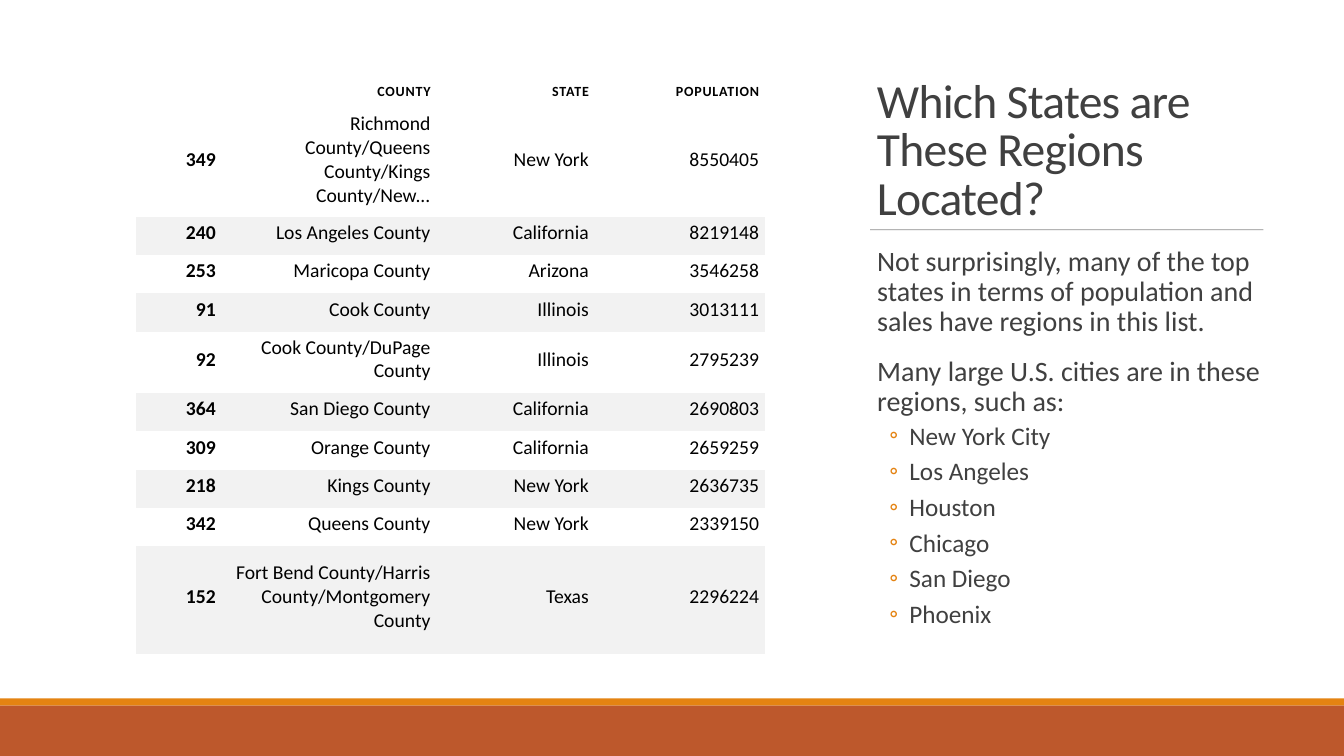
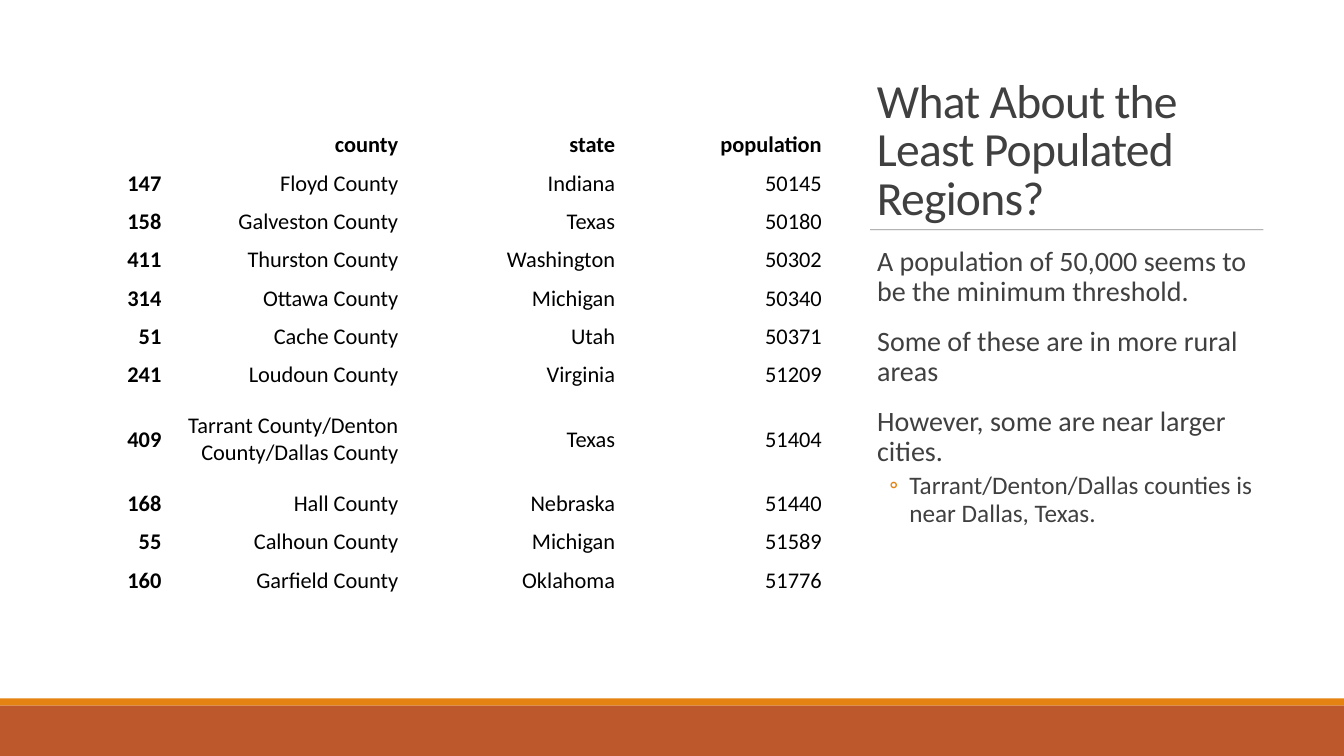
"""Build two slides on the most and least populated regions."""

from dataclasses import dataclass
from typing import NamedTuple

import pptx
import pptx.dml.color
import pptx.enum.shapes
import pptx.enum.text
import pptx.oxml.ns
import pptx.oxml.xmlchemy
import pptx.presentation
import pptx.shapes.autoshape
import pptx.slide
import pptx.table
import pptx.text.text
import pptx.util
from lxml import etree

PX = 9144
SLIDE_WIDTH, SLIDE_HEIGHT = 1333, 750
FONT = "Calibri"
WHITE, BLACK, TEXT, RULE = "FFFFFF", "000000", "404040", "808080"
ORANGE, RUST, STRIPE = "E48312", "BD582C", "F2F2F2"
PLAIN_TABLE_STYLE = "{2D5ABB26-0587-4C30-8999-92F81FD0307C}"
ROW_HEIGHT = 38


class Box(NamedTuple):
    left: int
    top: int
    width: int
    height: int


class Insets(NamedTuple):
    left: int
    top: int
    right: int
    bottom: int


class Band(NamedTuple):
    top: int
    height: int
    color: str


class Point(NamedTuple):
    text: str
    level: int = 0


class PointStyle(NamedTuple):
    size: int
    indent: int
    hanging: int
    before: int
    after: int
    bullet: str


@dataclass(frozen=True)
class RegionTable:
    left: int
    top: int
    columns: tuple[int, ...]
    tall_rows: dict[int, int]
    rows: tuple[tuple[str, ...], ...]
    size: int
    header_size: int
    header_spacing: int
    header_anchor: pptx.enum.text.MSO_ANCHOR
    header_insets: Insets
    insets: Insets
    stripe: str


@dataclass(frozen=True)
class RegionSlide:
    title: str
    points: tuple[Point, ...]
    table: RegionTable


BANDS = (Band(0, 693, WHITE), Band(693, 7, ORANGE), Band(700, 50, RUST))
TITLE_BOX = Box(860, 69, 404, 159)
BODY_BOX = Box(860, 240, 404, 401)
POINT_STYLES = (
    PointStyle(20, 10, 10, 12, 2, " "),
    PointStyle(18, 42, 20, 2, 4, "◦"),
)

SLIDES = (
    RegionSlide(
        "Which States are These Regions Located?",
        (
            Point("Not surprisingly, many of the top states in terms of population and sales have regions in this list."),
            Point("Many large U.S. cities are in these regions, such as:"),
            Point("New York City", 1),
            Point("Los Angeles", 1),
            Point("Houston", 1),
            Point("Chicago", 1),
            Point("San Diego", 1),
            Point("Phoenix", 1),
        ),
        RegionTable(
            left=135, top=70, columns=(85, 213, 157, 169),
            tall_rows={1: 107, 5: 61, 10: 107},
            rows=(
                ("", "COUNTY", "STATE", "POPULATION"),
                ("349", "Richmond County/Queens County/Kings County/New...", "New York", "8550405"),
                ("240", "Los Angeles County", "California", "8219148"),
                ("253", "Maricopa County", "Arizona", "3546258"),
                ("91", "Cook County", "Illinois", "3013111"),
                ("92", "Cook County/DuPage County", "Illinois", "2795239"),
                ("364", "San Diego County", "California", "2690803"),
                ("309", "Orange County", "California", "2659259"),
                ("218", "Kings County", "New York", "2636735"),
                ("342", "Queens County", "New York", "2339150"),
                ("152", "Fort Bend County/Harris County/Montgomery County", "Texas", "2296224"),
            ),
            size=14, header_size=10, header_spacing=60,
            header_anchor=pptx.enum.text.MSO_ANCHOR.BOTTOM,
            header_insets=Insets(6, 9, 6, 9), insets=Insets(6, 3, 6, 9),
            stripe=STRIPE,
        ),
    ),
    RegionSlide(
        "What About the Least Populated Regions?",
        (
            Point("A population of 50,000 seems to be the minimum threshold."),
            Point("Some of these are in more rural areas"),
            Point("However, some are near larger cities."),
            Point("Tarrant/Denton/Dallas counties is near Dallas, Texas.", 1),
        ),
        RegionTable(
            left=69, top=125, columns=(100, 235, 215, 205),
            tall_rows={7: 90},
            rows=(
                ("", "county", "state", "population"),
                ("147", "Floyd County", "Indiana", "50145"),
                ("158", "Galveston County", "Texas", "50180"),
                ("411", "Thurston County", "Washington", "50302"),
                ("314", "Ottawa County", "Michigan", "50340"),
                ("51", "Cache County", "Utah", "50371"),
                ("241", "Loudoun County", "Virginia", "51209"),
                ("409", "Tarrant County/Denton County/Dallas County", "Texas", "51404"),
                ("168", "Hall County", "Nebraska", "51440"),
                ("55", "Calhoun County", "Michigan", "51589"),
                ("160", "Garfield County", "Oklahoma", "51776"),
            ),
            size=16, header_size=16, header_spacing=0,
            header_anchor=pptx.enum.text.MSO_ANCHOR.MIDDLE,
            header_insets=Insets(9, 4, 9, 4), insets=Insets(9, 4, 9, 4),
            stripe=WHITE,
        ),
    ),
)


def px(length: int) -> pptx.util.Emu:
    return pptx.util.Emu(length * PX)


def rgb(color: str) -> pptx.dml.color.RGBColor:
    return pptx.dml.color.RGBColor.from_string(color)


def add_child(parent: etree.ElementBase, tag: str, **attributes: str) -> etree.ElementBase:
    return etree.SubElement(parent, pptx.oxml.ns.qn(tag), attributes)


def format_runs(paragraph: pptx.text.text._Paragraph, size: int, color: str,
                bold: bool = False, spacing: int = 0) -> None:
    for run in paragraph.runs:
        run.font.name = FONT
        run.font.size = pptx.util.Pt(size)
        run.font.bold = bold
        run.font.color.rgb = rgb(color)
        run._r.get_or_add_rPr().set("spc", str(spacing))


def add_text_box(slide: pptx.slide.Slide, box: Box) -> pptx.text.text.TextFrame:
    text_frame = slide.shapes.add_textbox(*map(px, box)).text_frame
    text_frame.word_wrap = True
    return text_frame


def add_band(slide: pptx.slide.Slide, band: Band) -> None:
    shape = slide.shapes.add_shape(
        pptx.enum.shapes.MSO_SHAPE.RECTANGLE,
        px(0), px(band.top), px(SLIDE_WIDTH), px(band.height))
    shape.shadow.inherit = False
    shape.fill.solid()
    shape.fill.fore_color.rgb = rgb(band.color)
    shape.line.fill.background()


def add_title(slide: pptx.slide.Slide, title: str) -> None:
    text_frame = add_text_box(slide, TITLE_BOX)
    text_frame.vertical_anchor = pptx.enum.text.MSO_ANCHOR.BOTTOM
    text_frame.text = title
    paragraph = text_frame.paragraphs[0]
    paragraph.line_spacing = 0.85
    format_runs(paragraph, 34, TEXT, spacing=-50)


def add_title_rule(slide: pptx.slide.Slide) -> None:
    connector = slide.shapes.add_connector(
        pptx.enum.shapes.MSO_CONNECTOR.STRAIGHT, px(863), px(228), px(1253), px(228))
    connector.line.color.rgb = rgb(RULE)
    connector.line.width = pptx.util.Pt(0.5)
    properties = connector._element.spPr
    color = next(properties.iter(pptx.oxml.ns.qn("a:srgbClr")))
    add_child(color, "a:alpha", val="90000")
    add_child(properties, "a:effectLst")


def add_points(slide: pptx.slide.Slide, points: tuple[Point, ...]) -> None:
    text_frame = add_text_box(slide, BODY_BOX)
    text_frame.margin_left = text_frame.margin_right = 0
    text_frame.text = "\n".join(point.text for point in points)
    for point, paragraph in zip(points, text_frame.paragraphs):
        style = POINT_STYLES[point.level]
        paragraph.level = point.level
        paragraph.line_spacing = 0.9
        paragraph.space_before = pptx.util.Pt(style.before)
        paragraph.space_after = pptx.util.Pt(style.after)
        format_runs(paragraph, style.size, TEXT)
        properties = paragraph._p.get_or_add_pPr()
        properties.set("marL", str(px(style.indent)))
        properties.set("indent", str(px(-style.hanging)))
        add_child(add_child(properties, "a:buClr"), "a:srgbClr", val=ORANGE)
        add_child(properties, "a:buFont", typeface=FONT)
        add_child(properties, "a:buChar", char=style.bullet)


def fill_cell(cell: pptx.table._Cell, text: str, row: int, column: int,
              region_table: RegionTable) -> None:
    header = row == 0
    insets = region_table.header_insets if header else region_table.insets
    size = region_table.header_size if header else region_table.size
    cell.margin_left, cell.margin_top, cell.margin_right, cell.margin_bottom = map(px, insets)
    cell.vertical_anchor = (
        region_table.header_anchor if header else pptx.enum.text.MSO_ANCHOR.MIDDLE)
    cell.fill.solid()
    striped = row > 0 and row % 2 == 0
    cell.fill.fore_color.rgb = rgb(region_table.stripe if striped else WHITE)
    cell.text_frame.text = text
    paragraph = cell.text_frame.paragraphs[0]
    paragraph.alignment = pptx.enum.text.PP_ALIGN.RIGHT
    format_runs(paragraph, size, BLACK, header or column == 0,
                region_table.header_spacing if header else 0)
    if not text:
        add_child(paragraph._p, "a:endParaRPr", sz=str(size * 100))


def add_region_table(slide: pptx.slide.Slide, region_table: RegionTable) -> None:
    rows, columns = region_table.rows, region_table.columns
    heights = [region_table.tall_rows.get(row, ROW_HEIGHT) for row in range(len(rows))]
    frame = slide.shapes.add_table(
        len(rows), len(columns), px(region_table.left), px(region_table.top),
        px(sum(columns)), px(sum(heights)))
    table = frame.table
    table.horz_banding = False
    style = next(frame._element.iter(pptx.oxml.ns.qn("a:tableStyleId")))
    style.text = PLAIN_TABLE_STYLE
    for column, width in enumerate(columns):
        table.columns[column].width = px(width)
    for row, texts in enumerate(rows):
        table.rows[row].height = px(heights[row])
        for column, text in enumerate(texts):
            fill_cell(table.cell(row, column), text, row, column, region_table)


def add_region_slide(presentation: pptx.presentation.Presentation, content: RegionSlide) -> None:
    slide = presentation.slides.add_slide(presentation.slide_layouts[6])
    for band in BANDS:
        add_band(slide, band)
    add_title(slide, content.title)
    add_title_rule(slide)
    add_points(slide, content.points)
    add_region_table(slide, content.table)


def main() -> None:
    presentation = pptx.Presentation()
    presentation.slide_width, presentation.slide_height = px(SLIDE_WIDTH), px(SLIDE_HEIGHT)
    for content in SLIDES:
        add_region_slide(presentation, content)
    presentation.save("out.pptx")


if __name__ == "__main__":
    main()
